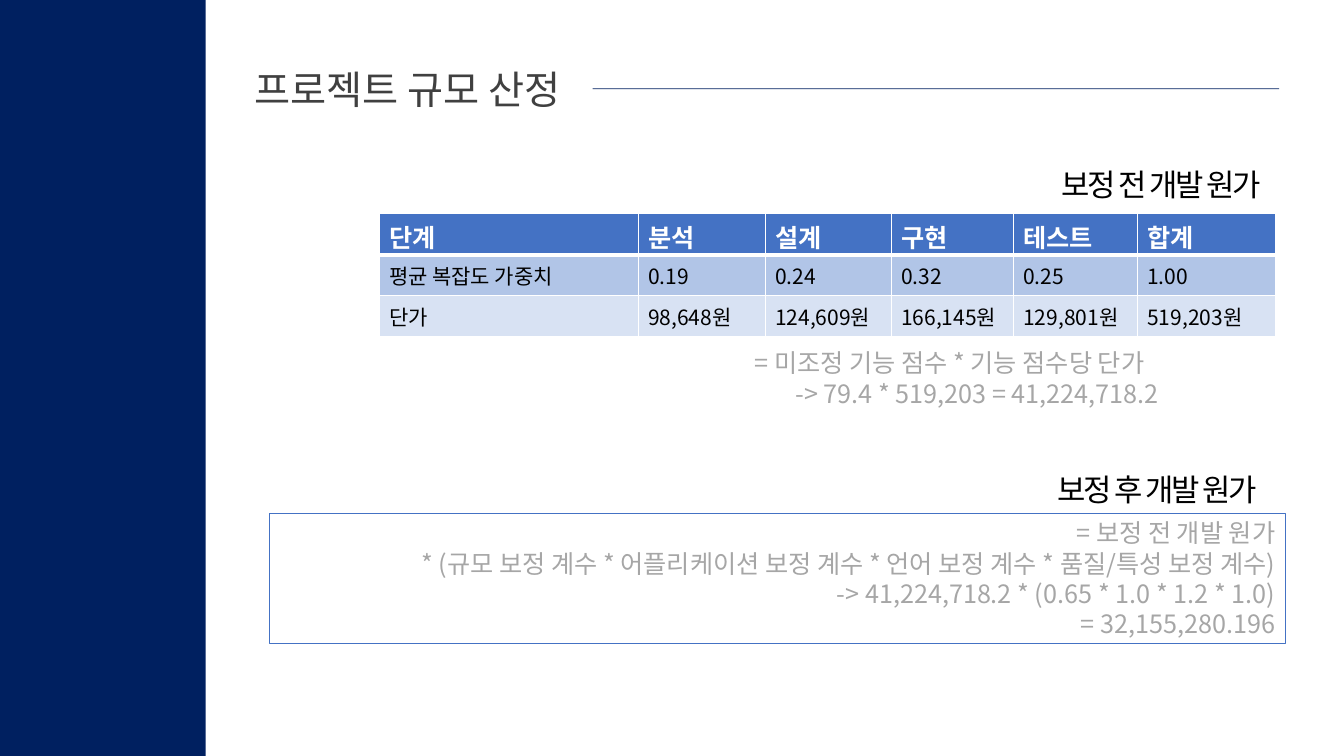
import pptx
import pptx.util
import pptx.dml.color
import pptx.enum.shapes
import pptx.enum.text
import pptx.oxml
import pptx.oxml.ns
import lxml.etree

RGB = pptx.dml.color.RGBColor.from_string
Pt = pptx.util.Pt
ALIGN = pptx.enum.text.PP_ALIGN
MIDDLE = pptx.enum.text.MSO_ANCHOR.MIDDLE
qn = pptx.oxml.ns.qn

THEME = {
    "face": "Noto Sans CJK KR",
    "navy": RGB("002060"),
    "blue": RGB("4472C4"),
    "white": RGB("FFFFFF"),
    "title": {"size": Pt(28), "color": RGB("404040"), "bold": False},
    "heading": {"size": Pt(22), "color": RGB("000000"), "bold": False},
    "formula": {"size": Pt(18), "color": RGB("A6A6A6"), "bold": False},
    "table head": {"size": Pt(18), "color": RGB("FFFFFF"), "bold": True},
    "table body": {"size": Pt(15), "color": RGB("000000"), "bold": False},
    "row fills": [RGB("4472C4"), RGB("B1C5E7"), RGB("D8E2F3")],
}

deck = pptx.Presentation()
deck.slide_width = pptx.util.Inches(13.333)
deck.slide_height = pptx.util.Inches(7.5)
page = deck.slides.add_slide(deck.slide_layouts[5])

# The grid has 100 columns and 100 rows
COLUMN = deck.slide_width / 100
ROW = deck.slide_height / 100


def area(left, top, width, height):
    return [round(left * COLUMN), round(top * ROW), round(width * COLUMN), round(height * ROW)]


def write(frame, lines, style, **paragraph_format):
    frame.word_wrap = True
    for number, line in enumerate(lines):
        para = frame.add_paragraph() if number else frame.paragraphs[0]
        for name, value in paragraph_format.items():
            setattr(para, name, value)
        span = para.add_run()
        span.text = line
        span.font.name = THEME["face"]
        for name, value in THEME[style].items():
            if name == "color":
                span.font.color.rgb = value
            else:
                setattr(span.font, name, value)
        east_asian = lxml.etree.SubElement(span.font._element, qn("a:ea"))
        east_asian.set("typeface", THEME["face"])


# Side band
band = page.shapes.add_shape(pptx.enum.shapes.MSO_SHAPE.RECTANGLE, *area(0, 0, 15.3, 100))
band.shadow.inherit = False
band.fill.solid()
band.fill.fore_color.rgb = THEME["navy"]
band.line.fill.background()

# Title and the rule beside it
title = page.shapes.title
title.left, title.top, title.width, title.height = area(18.22, 8, 25.88, 7.47)
title.text_frame.vertical_anchor = MIDDLE
title.text_frame.auto_size = pptx.enum.text.MSO_AUTO_SIZE.NONE
write(title.text_frame, ["프로젝트 규모 산정"], "title", alignment=ALIGN.LEFT)

rule_end = area(95.18, 11.73, 0, 0)[:2]
rule = page.shapes.add_connector(pptx.enum.shapes.MSO_CONNECTOR.STRAIGHT, 0, 0, *rule_end)
rule.begin_connect(title, 3)
rule.line.color.rgb = THEME["navy"]
rule.line.width = Pt(0.5)
lxml.etree.SubElement(rule._element.spPr, qn("a:effectLst"))

# Section headings
headings = {
    "보정 전 개발 원가": area(78.23, 20.13, 19.73, 7.07),
    "보정 후 개발 원가": area(77.93, 60.4, 21, 7.2),
}
for wording, place in headings.items():
    heading = page.shapes.add_textbox(*place)
    heading.text_frame.vertical_anchor = MIDDLE
    write(heading.text_frame, [wording], "heading", line_spacing=Pt(34))
    heading.text_frame.paragraphs[0].runs[0].font._element.set("spc", "-150")

# Cost table
costs = [
    ["단계", "분석", "설계", "구현", "테스트", "합계"],
    ["평균 복잡도 가중치", "0.19", "0.24", "0.32", "0.25", "1.00"],
    ["단가", "98,648원", "124,609원", "166,145원", "129,801원", "519,203원"],
]
table = page.shapes.add_table(3, 6, *area(28.2, 28.27, 66.75, 16.27)).table
for column, share in zip(table.columns, [19.28, 9.45, 9.38, 9.08, 9.23, 10.28]):
    column.width = round(share * COLUMN)
for row_number, texts in enumerate(costs):
    style = "table body" if row_number else "table head"
    for column_number, wording in enumerate(texts):
        cell = table.cell(row_number, column_number)
        write(cell.text_frame, [wording], style)
        for side in ["lnL", "lnR", "lnT", "lnB"]:
            # A heavy line parts the head row from the body
            heavy = (row_number, side) in [(0, "lnB"), (1, "lnT")]
            border = lxml.etree.SubElement(cell._tc.get_or_add_tcPr(), qn("a:" + side))
            border.set("w", str(Pt(3 if heavy else 1)))
            paint = lxml.etree.SubElement(border, qn("a:solidFill"))
            lxml.etree.SubElement(paint, qn("a:srgbClr")).set("val", str(THEME["white"]))
        cell.fill.solid()
        cell.fill.fore_color.rgb = THEME["row fills"][row_number]

# Cost before correction
before = page.shapes.add_textbox(*area(45.45, 45.33, 50.63, 9.33))
write(before.text_frame, [
    "= 미조정 기능 점수 * 기능 점수당 단가",
    "-> 79.4 * 519,203 = 41,224,718.2",
], "formula", line_spacing=Pt(21.6))
for para, indent in zip(before.text_frame.paragraphs, [9.95, 13]):
    para._p.get_or_add_pPr().set("marL", str(round(indent * COLUMN)))

# Cost after correction
after = page.shapes.add_shape(pptx.enum.shapes.MSO_SHAPE.RECTANGLE, *area(20.03, 67.87, 75.6, 17.2))
after.shadow.inherit = False
after.fill.background()
after.line.color.rgb = THEME["blue"]
after.line.width = Pt(0.75)
after.text_frame.vertical_anchor = MIDDLE
write(after.text_frame, [
    "= 보정 전 개발 원가",
    "* (규모 보정 계수 * 어플리케이션 보정 계수 * 언어 보정 계수 * 품질/특성 보정 계수)",
    "-> 41,224,718.2 * (0.65 * 1.0 * 1.2 * 1.0)",
    "= 32,155,280.196",
], "formula", alignment=ALIGN.RIGHT, line_spacing=Pt(21.6))

deck.save("out.pptx")
